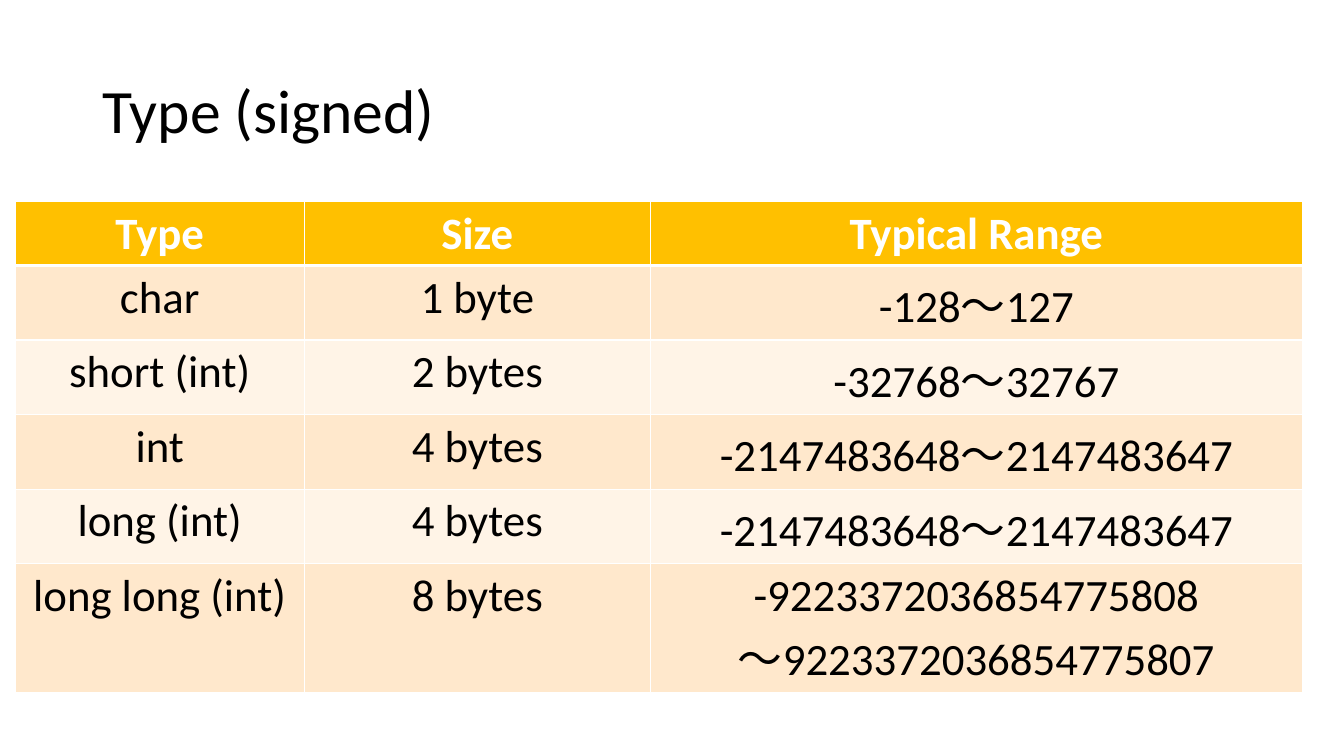
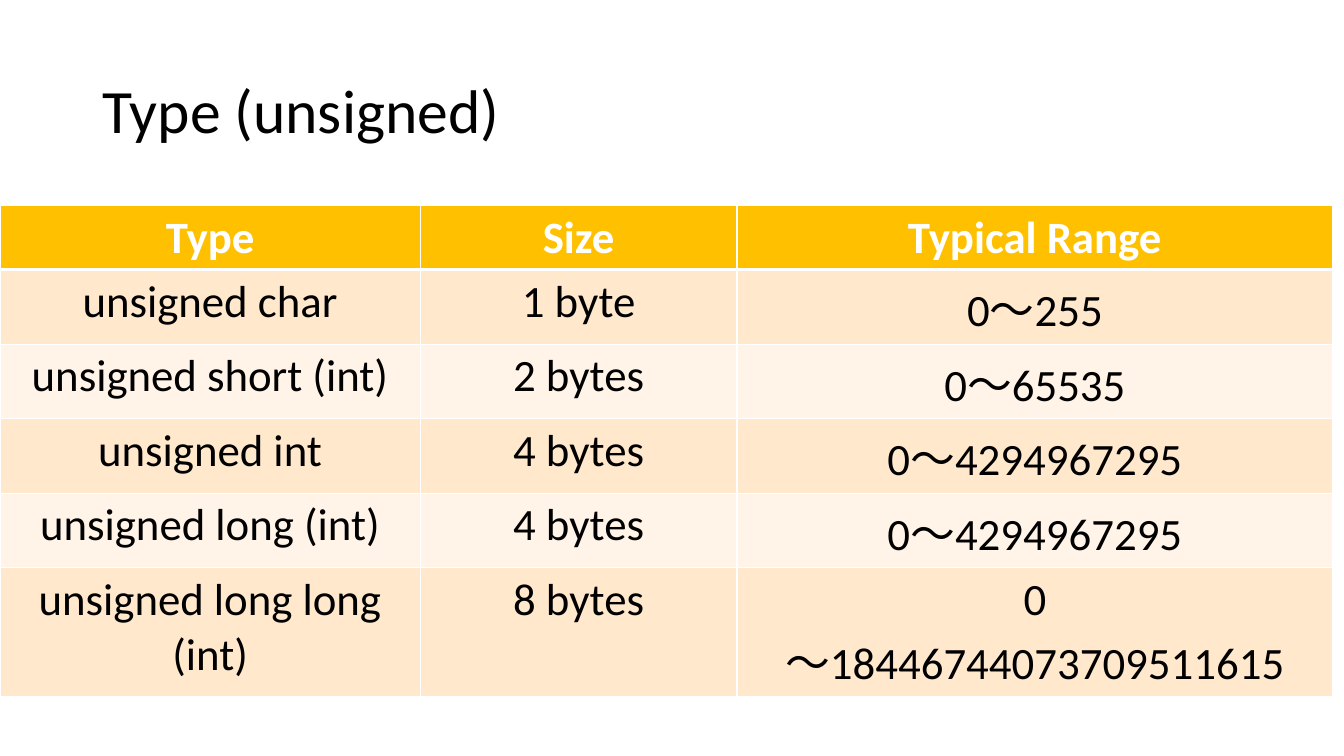
from lxml.etree import SubElement as Sub
from pptx import Presentation as Deck
from pptx.dml.color import RGBColor as RGB
from pptx.enum.text import MSO_ANCHOR as Anchor, PP_ALIGN as Align
from pptx.oxml.ns import qn
from pptx.util import Inches, Pt

WHITE = RGB(0xFF, 0xFF, 0xFF)
BLACK = RGB(0, 0, 0)
GOLD = RGB(0xFF, 0xC0, 0x00)
BANDS = RGB(0xFF, 0xE8, 0xCC), RGB(0xFF, 0xF4, 0xE7)
FONT = "Calibri"
HEAD = "Type", "Size", "Typical Range"
SIZES = "1 byte", "2 bytes", "4 bytes", "4 bytes", "8 bytes"
ROWS = 0.63, 0.74, 0.74, 0.74, 0.74, 1.28
SLIDES = (
    ("Type (signed)", 0.15, 2, (2.87, 3.43, 6.47),
     ("char", "short (int)", "int", "long (int)", "long long (int)"),
     ("-128～127", "-32768～32767", "-2147483648～2147483647",
      "-2147483648～2147483647",
      "-9223372036854775808\n～9223372036854775807")),
    ("Type (unsigned)", 0, 2.04, (4.17, 3.14, 5.91),
     ("unsigned char", "unsigned short (int)", "unsigned int",
      "unsigned long (int)", "unsigned long long (int)"),
     ("0～255", "0～65535", "0～4294967295", "0～4294967295",
      "0\n～18446744073709511615")),
)


def write(frame, text, size=32, color=BLACK, bold=False,
          align=Align.CENTER, space=1.0):
    frame.word_wrap = True
    for i, line in enumerate(text.split("\n")):
        para = frame.add_paragraph() if i else frame.paragraphs[0]
        para.alignment = align
        para.line_spacing = space
        run = para.add_run()
        run.text = line
        font = run.font
        font.name, font.size, font.bold = FONT, Pt(size), bold
        font.color.rgb = color


class Page:
    """Holds the deck's style and the current slide."""

    def __init__(self, deck):
        self.slide = deck.slides.add_slide(deck.slide_layouts[6])

    def title(self, text):
        box = self.slide.shapes.add_textbox(
            Inches(0.92), Inches(0.4), Inches(11.5), Inches(1.45))
        box.text_frame.vertical_anchor = Anchor.MIDDLE
        write(box.text_frame, text, size=44, align=Align.LEFT, space=0.9)

    def edges(self, cell, top, base):
        props = cell._tc.get_or_add_tcPr()
        for side, width in zip("LRTB", (1, 1, top, base)):
            line = Sub(props, qn(f"a:ln{side}"), w=str(Pt(width)))
            fill = Sub(line, qn("a:solidFill"))
            Sub(fill, qn("a:srgbClr"), val=str(WHITE))

    def table(self, left, top, cols, data):
        grid = self.slide.shapes.add_table(
            len(data), len(cols), Inches(left), Inches(top),
            Inches(sum(cols)), Inches(sum(ROWS))).table
        grid.horz_banding = False
        for col, width in zip(grid.columns, cols):
            col.width = Inches(width)
        for i, (row, height, texts) in enumerate(zip(grid.rows, ROWS, data)):
            row.height = Inches(height)
            head = i == 0
            for cell, text in zip(row.cells, texts):
                self.edges(cell, 3 if i == 1 else 1, 3 if head else 1)
                cell.fill.solid()
                cell.fill.fore_color.rgb = GOLD if head else BANDS[(i - 1) % 2]
                write(cell.text_frame, text, bold=head,
                      color=WHITE if head else BLACK)


def main():
    deck = Deck()
    deck.slide_width, deck.slide_height = Inches(13.33), Inches(7.5)
    for title, left, top, cols, types, spans in SLIDES:
        page = Page(deck)
        page.title(title)
        page.table(left, top, cols, [HEAD, *zip(types, SIZES, spans)])
    deck.save("out.pptx")


if __name__ == "__main__":
    main()
